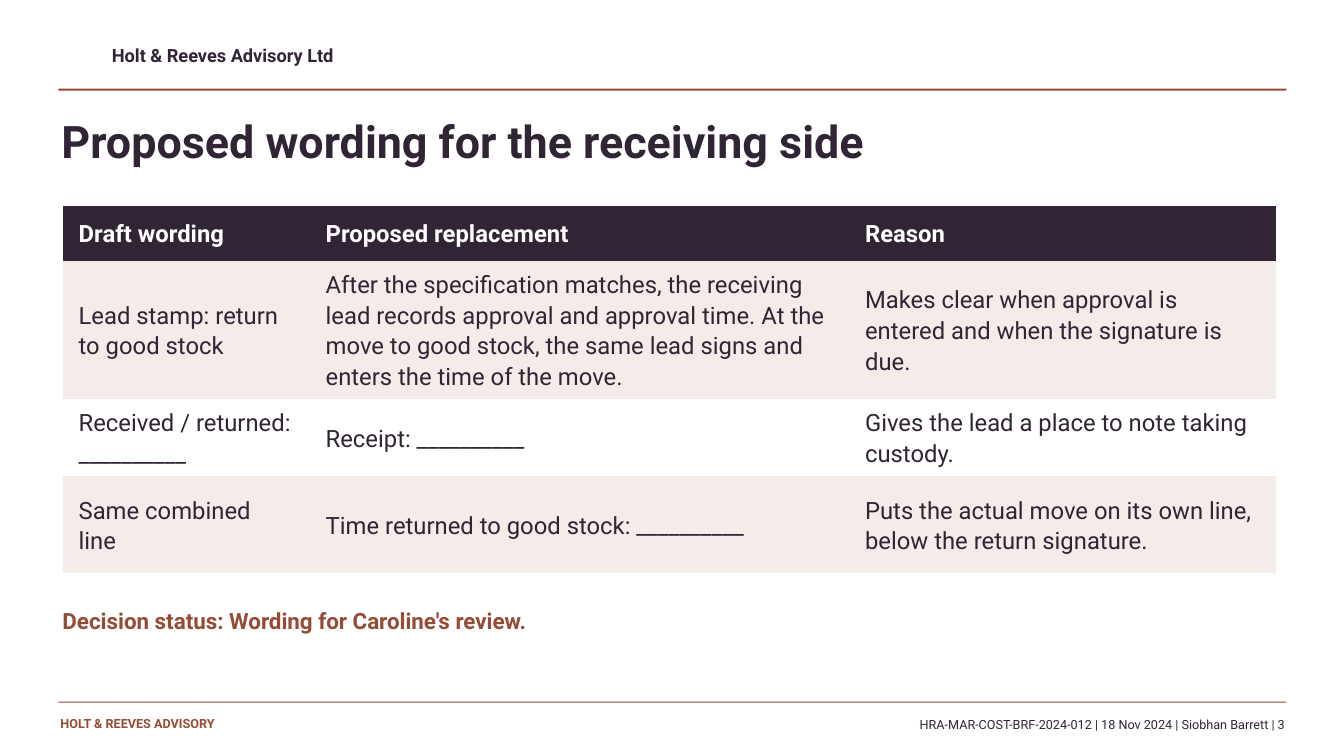
from pptx import Presentation
from pptx.dml.color import RGBColor
from pptx.enum.shapes import MSO_SHAPE
from pptx.enum.text import MSO_ANCHOR, PP_ALIGN
from pptx.util import Inches, Pt

COLORS = {"plum": "302435", "rust": "964B37", "blush": "F4ECE8", "white": "FFFFFF"}


def write(frame, text, size=17, color="plum", bold=False, align=PP_ALIGN.LEFT,
          anchor=MSO_ANCHOR.TOP, spacing=1.1):
    frame.word_wrap = True
    frame.vertical_anchor = anchor
    frame.margin_left = frame.margin_right = 0
    frame.margin_top = frame.margin_bottom = 0
    paragraph = frame.paragraphs[0]
    paragraph.alignment = align
    paragraph.line_spacing = spacing
    run = paragraph.add_run()
    run.text = text
    run.font.name = "Roboto"
    run.font.size = Pt(size)
    run.font.bold = bold
    run.font.color.rgb = RGBColor.from_string(COLORS[color])


prs = Presentation()
prs.slide_width = Inches(13.33)
prs.slide_height = Inches(7.5)
slide = prs.slides.add_slide(prs.slide_layouts[5])

title = slide.shapes.title
title.left, title.top = Inches(0.61), Inches(1.07)
title.width, title.height = Inches(12), Inches(0.78)
write(title.text_frame, "Proposed wording for the receiving side", size=32, bold=True)

for top, thickness in [(0.88, 0.02), (6.96, 0.01)]:
    rule = slide.shapes.add_shape(MSO_SHAPE.RECTANGLE, Inches(0.58), Inches(top),
                                  Inches(12.18), Inches(thickness))
    rule.shadow.inherit = False
    rule.fill.solid()
    rule.fill.fore_color.rgb = RGBColor.from_string(COLORS["rust"])
    rule.line.fill.background()

labels = [
    ("Holt & Reeves Advisory Ltd", (1.11, 0.44, 6, 0.27),
     {"size": 13, "bold": True, "spacing": 1.0}),
    ("Decision status: Wording for Caroline's review.", (0.62, 6, 12.04, 0.43),
     {"size": 16, "color": "rust", "bold": True}),
    ("HOLT & REEVES ADVISORY", (0.6, 7.1, 3.4, 0.25),
     {"size": 9, "color": "rust", "bold": True, "spacing": 1.0}),
    ("HRA-MAR-COST-BRF-2024-012 | 18 Nov 2024 | Siobhan Barrett | 3",
     (4.12, 7.1, 8.62, 0.25), {"size": 9, "align": PP_ALIGN.RIGHT}),
]
for text, place, style in labels:
    label = slide.shapes.add_textbox(*map(Inches, place))
    write(label.text_frame, text, **style)

blank = "_" * 10
wording_rows = [
    ("Draft wording", "Proposed replacement", "Reason"),
    ("Lead stamp: return to good stock",
     "After the specification matches, the receiving lead records approval and approval "
     "time. At the move to good stock, the same lead signs and enters the time of the move.",
     "Makes clear when approval is entered and when the signature is due."),
    (f"Received / returned: {blank}", f"Receipt: {blank}",
     "Gives the lead a place to note taking custody."),
    ("Same combined line", f"Time returned to good stock: {blank}",
     "Puts the actual move on its own line, below the return signature."),
]
column_widths = [2.45, 5.35, 4.24]
row_heights = [0.55, 1.36, 0.77, 0.96]
row_fills = ["plum", "blush", "white", "blush"]

wording = slide.shapes.add_table(
    len(wording_rows), len(column_widths), Inches(0.62), Inches(2.04),
    Inches(sum(column_widths)), Inches(sum(row_heights))).table
wording.horz_banding = False
wording._tbl.tblPr[0].text = "{2D5ABB26-0587-4C30-8999-92F81FD0307C}"
for column, width in zip(wording.columns, column_widths):
    column.width = Inches(width)
for r, (texts, height, fill) in enumerate(zip(wording_rows, row_heights, row_fills)):
    wording.rows[r].height = Inches(height)
    for c, text in enumerate(texts):
        cell = wording.cell(r, c)
        cell.fill.solid()
        cell.fill.fore_color.rgb = RGBColor.from_string(COLORS[fill])
        cell.vertical_anchor = MSO_ANCHOR.MIDDLE
        cell.margin_left = cell.margin_right = Inches(0.16)
        cell.margin_top = cell.margin_bottom = Inches(0.06)
        write(cell.text_frame, text, color="white" if r == 0 else "plum", bold=r == 0,
              anchor=MSO_ANCHOR.MIDDLE)

prs.save("out.pptx")
